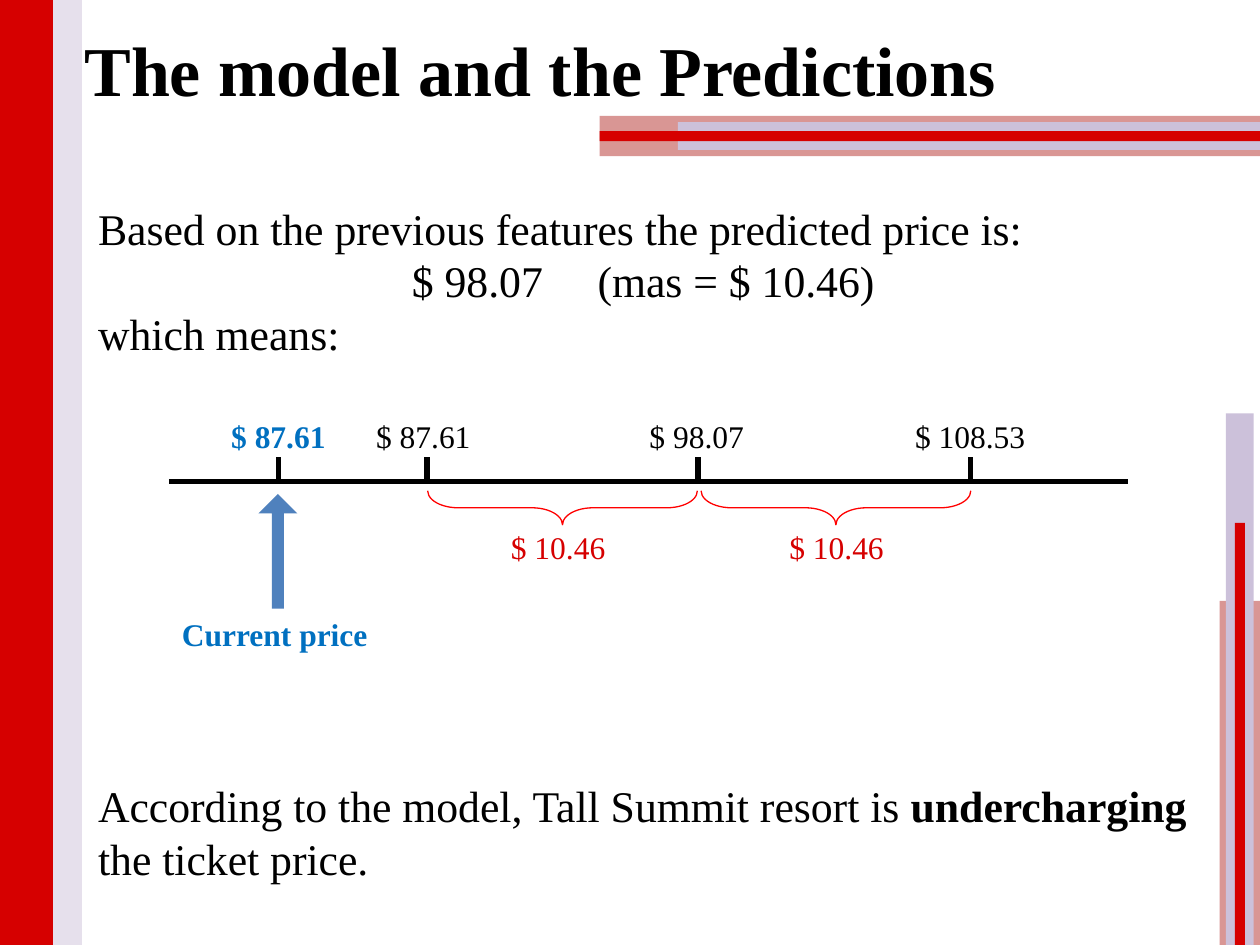
from pptx import Presentation, util as u
from pptx.dml.color import RGBColor
from pptx.enum import shapes, text
from pptx.oxml import parse_xml
from pptx.oxml.ns import nsdecls

RED, ROSE, LILAC, PALE = "D60000", "D99694", "CCC1DA", "E6E0EC"
BLACK, BLUE = "000000", "0070C0"
FONT = "Times New Roman"
AXIS_Y, LABEL_H = 3.82, 0.4

deck = Presentation()
deck.slide_width, deck.slide_height = u.Inches(10), u.Inches(7.5)
page = deck.slides.add_slide(deck.slide_layouts[5])


def add_shape(kind, left, top, width, height, fill=None):
    shape = page.shapes.add_shape(kind, *map(u.Inches, (left, top, width, height)))
    shape.shadow.inherit = False
    shape.line.fill.background()
    if fill:
        shape.fill.solid()
        shape.fill.fore_color.rgb = RGBColor.from_string(fill)
    else:
        shape.fill.background()
    return shape


def style(para, size, color=BLACK, bold=False):
    para.font.name, para.font.size, para.font.bold = FONT, u.Pt(size), bold
    para.font.color.rgb = RGBColor.from_string(color)


# Side bands, right-hand bars and title rule
for left, top, width, height, fill in [
    (9.68, 4.77, 0.32, 2.73, ROSE),
    (9.73, 3.28, 0.22, 4.22, LILAC),
    (9.80, 4.15, 0.08, 3.35, RED),
    (0, 0, 0.65, 7.5, PALE),
    (0, 0, 0.42, 7.5, RED),
    (4.76, 0.92, 5.24, 0.32, ROSE),
    (5.38, 0.97, 4.62, 0.22, LILAC),
    (4.76, 1.04, 5.24, 0.08, RED),
]:
    add_shape(shapes.MSO_SHAPE.RECTANGLE, left, top, width, height, fill)

# Title
title = page.shapes.title
title.left, title.top, title.width, title.height = map(u.Inches, (0.57, 0.16, 7.52, 0.77))
title.text_frame.text = "The model and the Predictions"
title.text_frame.word_wrap = False
title.text_frame.vertical_anchor = text.MSO_ANCHOR.TOP
title.text_frame.paragraphs[0].alignment = text.PP_ALIGN.LEFT
style(title.text_frame.paragraphs[0], 40, bold=True)

# Body text
body = page.shapes.add_textbox(*map(u.Inches, (0.68, 1.55, 8.85, 5.57))).text_frame
body.word_wrap = True
lines = [
    ["Based on the previous features the predicted price is:"],
    ["$ 98.07", " ", "(mas = $ 10.46)"],
    ["which means:"],
    ["According to the model, Tall Summit resort is ", "undercharging ", "the ticket price."],
]
for number, spans in enumerate(lines):
    para = body.paragraphs[0] if number == 0 else body.add_paragraph()
    style(para, 25)
    for words in spans:
        span = para.add_run()
        span.text = words
figures, conclusion = body.paragraphs[1], body.paragraphs[3]
figures.alignment = text.PP_ALIGN.CENTER
figures.runs[1].font._element.set("spc", "2500")  # wide gap between the two figures
conclusion.space_before = u.Pt(240)
conclusion.runs[1].font.bold = True

# Price axis and its ticks
ticks = [2.21, 3.39, 5.54, 7.70]
segments = [(1.34, AXIS_Y, 8.95, AXIS_Y)]
segments += [(x, AXIS_Y, x, AXIS_Y - 0.19) for x in ticks]
for ends in segments:
    line = page.shapes.add_connector(shapes.MSO_CONNECTOR.STRAIGHT, *map(u.Inches, ends))
    line.line.width = u.Pt(3)
    line.line.color.rgb = RGBColor.from_string(BLACK)
    line._element.spPr.append(parse_xml("<a:effectLst %s/>" % nsdecls("a")))

# Error braces below the axis, turned to open upwards
brace_depth, brace_span, brace_y = 0.27, 2.14, 4.03
for center in (4.465, 6.635):
    brace = add_shape(shapes.MSO_SHAPE.LEFT_BRACE, center - brace_depth / 2,
                      brace_y - brace_span / 2, brace_depth, brace_span)
    brace.rotation = 270
    brace.adjustments[0], brace.adjustments[1] = 0.895, 0.5
    brace.line.width = u.Pt(0.75)
    brace.line.color.rgb = RGBColor.from_string("FF0000")

# Arrow to the current price
arrow = add_shape(shapes.MSO_SHAPE.DOWN_ARROW, 2.05, 3.92, 0.31, 0.91, "4F81BD")
arrow.rotation = 180
arrow.adjustments[0], arrow.adjustments[1] = 0.308, 0.5

# Labels, centred on their x
for words, center, top, width, color in [
    ("$ 87.61", 2.21, 3.26, 0.96, BLUE),
    ("$ 87.61", 3.36, 3.26, 0.96, BLACK),
    ("$ 98.07", 5.53, 3.26, 0.96, BLACK),
    ("$ 108.53", 7.70, 3.26, 1.09, BLACK),
    ("$ 10.46", 4.43, 4.14, 0.96, RED),
    ("$ 10.46", 6.64, 4.14, 0.96, RED),
    ("Current price", 2.18, 4.83, 1.69, BLUE),
]:
    label = page.shapes.add_textbox(
        *map(u.Inches, (center - width / 2, top, width, LABEL_H))).text_frame
    label.word_wrap = False
    label.text = words
    label.paragraphs[0].alignment = text.PP_ALIGN.CENTER
    style(label.paragraphs[0], 18, color, bold=color == BLUE)

deck.save("out.pptx")
